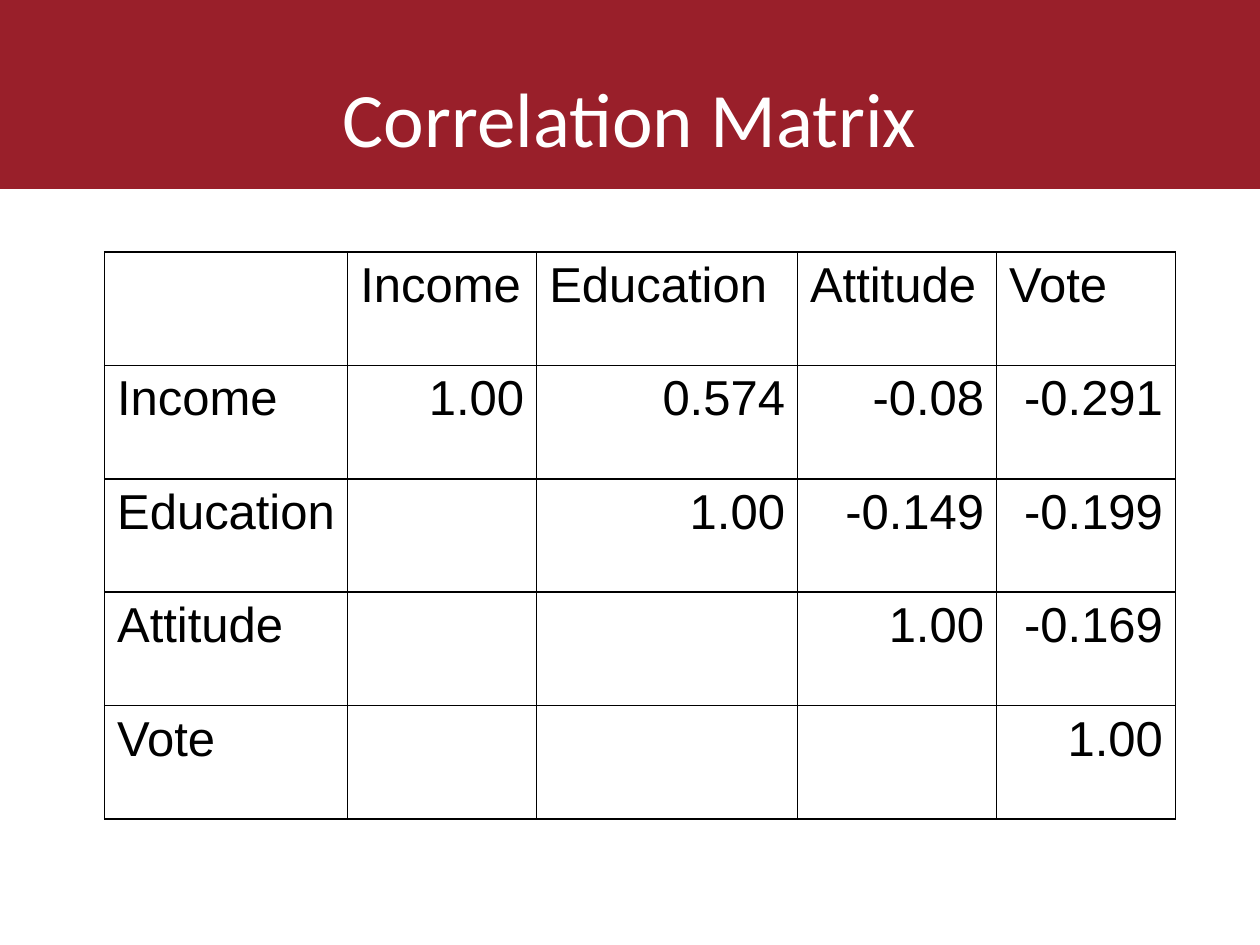
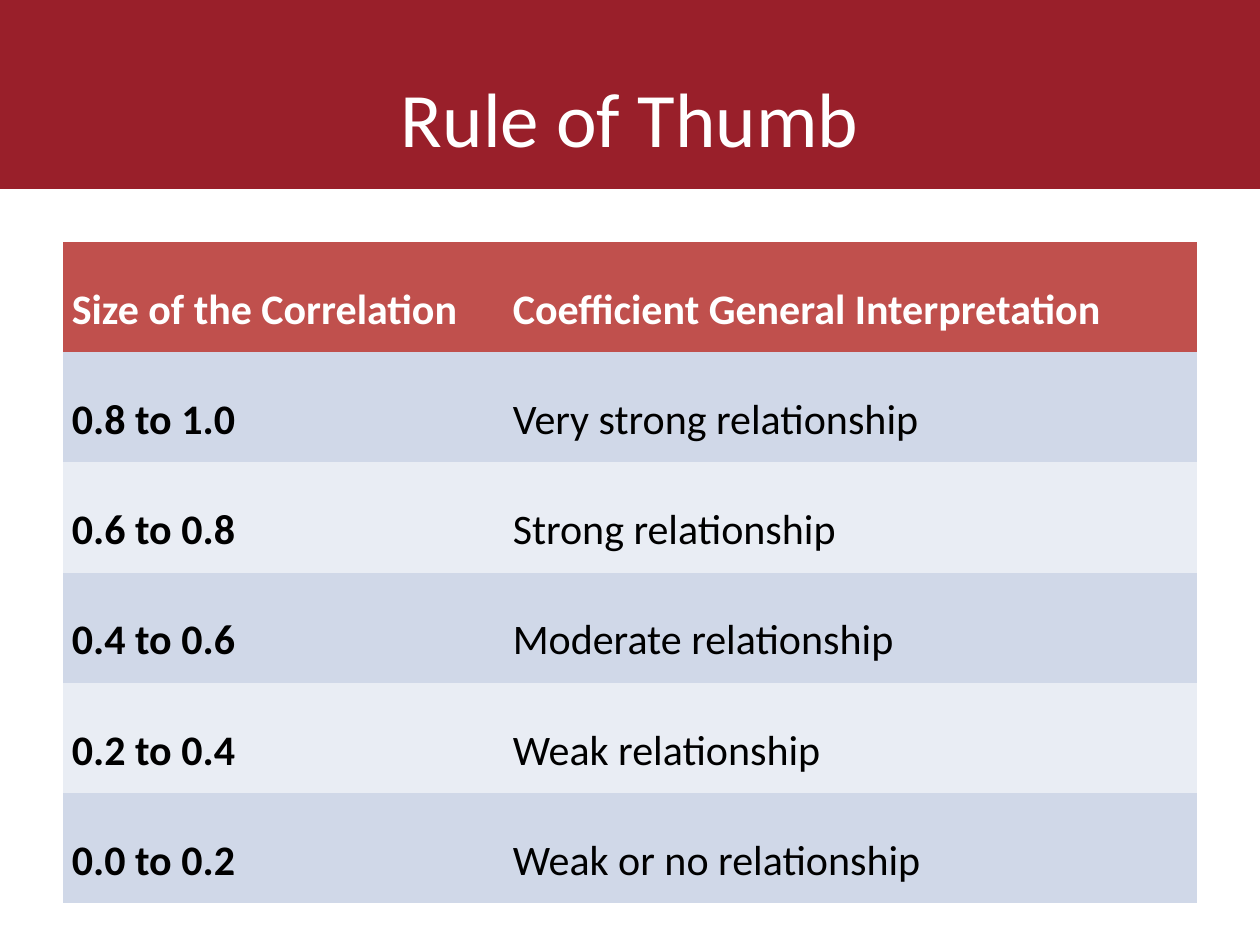
from dataclasses import dataclass
from typing import Optional

from lxml import etree
from pptx import Presentation
from pptx.dml.color import RGBColor
from pptx.enum import shapes, text
from pptx.oxml import ns
from pptx.slide import Slide
from pptx.table import Table, _Cell
from pptx.util import Inches, Pt


@dataclass(frozen=True)
class Theme:
    band: str = "991F2A"
    white: str = "FFFFFF"
    ink: str = "000000"
    header: str = "C0504D"
    stripes: tuple[str, str] = ("D0D8E8", "E9EDF4")
    heading_font: str = "Calibri"
    matrix_font: str = "Arial"
    title_size: int = 44
    matrix_size: int = 28
    rule_size: int = 24
    grid_width: int = 1
    plain_table_style: str = "{2D5ABB26-0587-4C30-8999-92F81FD0307C}"


THEME = Theme()


@dataclass(frozen=True)
class TextStyle:
    font: str
    size: int
    color: str
    bold: bool = False
    align: text.PP_ALIGN = text.PP_ALIGN.LEFT
    line_spacing: Optional[float] = None


@dataclass(frozen=True)
class TableLayout:
    left: float
    top: float
    columns: tuple[float, ...]
    row_height: float


MATRIX_LAYOUT = TableLayout(0.83, 2, (1.93, 1.5, 2.07, 1.58, 1.42), 0.9)
RULE_LAYOUT = TableLayout(0.5, 1.92, (3.5, 5.5), 0.875)

VARIABLES = ("Income", "Education", "Attitude", "Vote")
# Upper triangle, each row starting on the diagonal
CORRELATIONS = (
    ("1.00", "0.574", "-0.08", "-0.291"),
    ("1.00", "-0.149", "-0.199"),
    ("1.00", "-0.169"),
    ("1.00",),
)
RULES = (
    ("Size of the Correlation", "Coefficient General Interpretation"),
    ("0.8 to 1.0", "Very strong relationship"),
    ("0.6 to 0.8", "Strong relationship"),
    ("0.4 to 0.6", "Moderate relationship"),
    ("0.2 to 0.4", "Weak relationship"),
    ("0.0 to 0.2", "Weak or no relationship"),
)


def write(frame, words: str, style: TextStyle) -> None:
    paragraph = frame.paragraphs[0]
    paragraph.text = words
    paragraph.alignment = style.align
    if style.line_spacing:
        paragraph.line_spacing = style.line_spacing
    paragraph.font.name = style.font
    paragraph.font.size = Pt(style.size)
    paragraph.font.bold = style.bold
    paragraph.font.color.rgb = RGBColor.from_string(style.color)


def add_titled_slide(presentation, title: str) -> Slide:
    slide = presentation.slides.add_slide(presentation.slide_layouts[6])
    band = slide.shapes.add_shape(shapes.MSO_SHAPE.RECTANGLE, 0, 0, Inches(10), Inches(1.5))
    band.shadow.inherit = False
    band.fill.solid()
    band.fill.fore_color.rgb = RGBColor.from_string(THEME.band)
    band.line.fill.background()

    box = slide.shapes.add_textbox(Inches(0.5), Inches(0.3), Inches(9), Inches(1.25))
    box.text_frame.word_wrap = True
    box.text_frame.vertical_anchor = text.MSO_ANCHOR.MIDDLE
    write(box.text_frame, title, TextStyle(THEME.heading_font, THEME.title_size, THEME.white,
                                           align=text.PP_ALIGN.CENTER))
    return slide


def add_plain_table(slide: Slide, layout: TableLayout, row_count: int) -> Table:
    table = slide.shapes.add_table(
        row_count, len(layout.columns), Inches(layout.left), Inches(layout.top),
        Inches(sum(layout.columns)), Inches(layout.row_height * row_count)).table
    table._tbl.tblPr.find(ns.qn("a:tableStyleId")).text = THEME.plain_table_style
    table.first_row = table.horz_banding = False
    for column, width in zip(table.columns, layout.columns):
        column.width = Inches(width)
    for row in table.rows:
        row.height = Inches(layout.row_height)
    return table


def add_borders(cell: _Cell) -> None:
    properties = cell._tc.get_or_add_tcPr()
    for position, side in enumerate(("lnL", "lnR", "lnT", "lnB")):
        line = etree.Element(ns.qn(f"a:{side}"), w=str(Pt(THEME.grid_width)))
        fill = etree.SubElement(line, ns.qn("a:solidFill"))
        etree.SubElement(fill, ns.qn("a:srgbClr"), val=THEME.ink)
        properties.insert(position, line)


def build_matrix_slide(presentation) -> None:
    slide = add_titled_slide(presentation, "Correlation Matrix")
    table = add_plain_table(slide, MATRIX_LAYOUT, len(VARIABLES) + 1)
    label = TextStyle(THEME.matrix_font, THEME.matrix_size, THEME.ink)
    number = TextStyle(THEME.matrix_font, THEME.matrix_size, THEME.ink,
                       align=text.PP_ALIGN.RIGHT)
    for cell in table.iter_cells():
        cell.fill.background()
        add_borders(cell)
    for index, (variable, values) in enumerate(zip(VARIABLES, CORRELATIONS), start=1):
        write(table.cell(0, index).text_frame, variable, label)
        write(table.cell(index, 0).text_frame, variable, label)
        for column, value in enumerate(values, start=index):
            write(table.cell(index, column).text_frame, value, number)


def build_rule_slide(presentation) -> None:
    slide = add_titled_slide(presentation, "Rule of Thumb")
    table = add_plain_table(slide, RULE_LAYOUT, len(RULES))
    table.first_row = True
    for row, entries in enumerate(RULES):
        is_header = row == 0
        fill = THEME.header if is_header else THEME.stripes[(row - 1) % 2]
        color = THEME.white if is_header else THEME.ink
        for column, words in enumerate(entries):
            cell = table.cell(row, column)
            cell.fill.solid()
            cell.fill.fore_color.rgb = RGBColor.from_string(fill)
            cell.vertical_anchor = text.MSO_ANCHOR.MIDDLE
            cell.margin_left = cell.margin_right = Inches(0.07)
            cell.margin_top = cell.margin_bottom = 0
            write(cell.text_frame, words,
                  TextStyle(THEME.heading_font, THEME.rule_size, color,
                            bold=is_header or column == 0, line_spacing=1.5))


def main() -> None:
    presentation = Presentation()
    presentation.slide_width = Inches(10)
    presentation.slide_height = Inches(7.5)
    build_matrix_slide(presentation)
    build_rule_slide(presentation)
    presentation.save("out.pptx")


if __name__ == "__main__":
    main()
